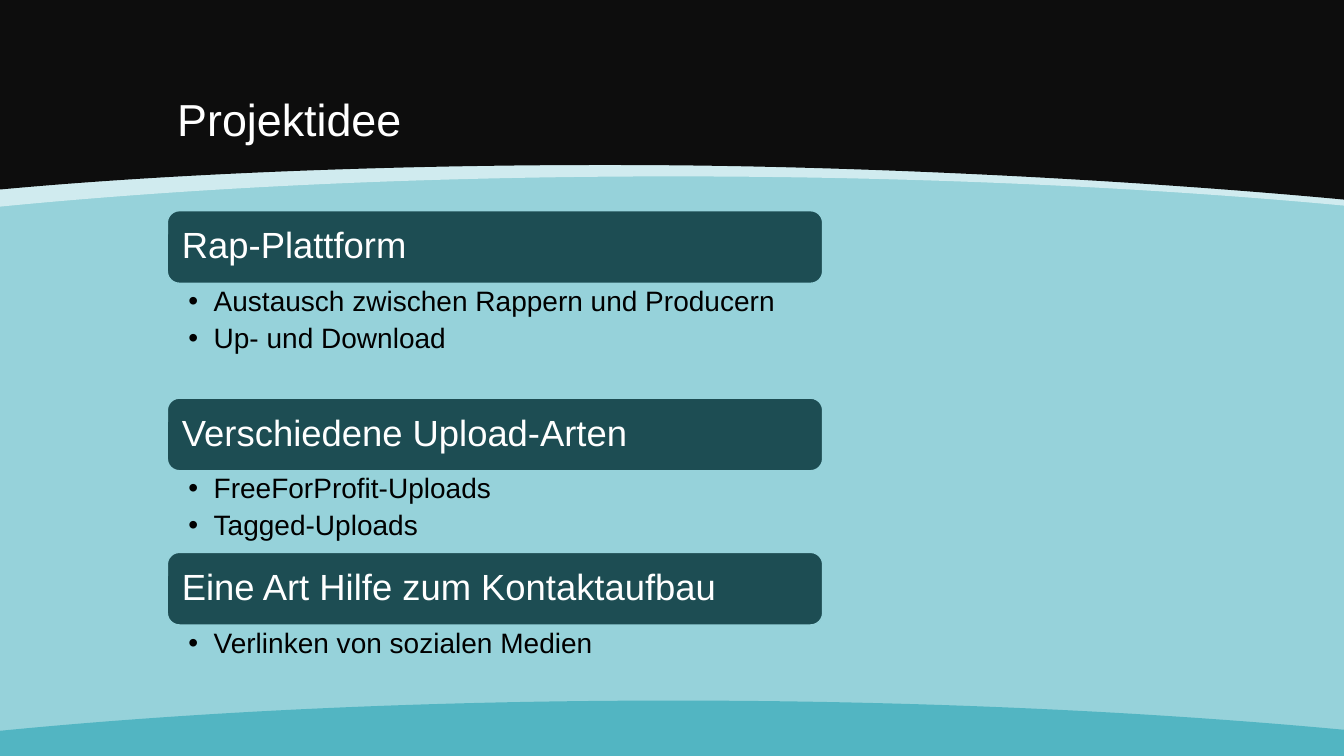
import lxml.etree
import pptx
import pptx.dml.color
import pptx.enum.shapes
import pptx.enum.text
import pptx.oxml.ns
import pptx.util
from dataclasses import dataclass
from pptx.util import Inches


@dataclass(frozen=True)
class Theme:
    font: str = "Arial"
    background: str = "96D2DA"
    band: str = "0D0D0D"
    band_edge: str = "EAF6F8"
    footer: str = "52B5C2"
    heading_fill: str = "1D4D53"
    light_text: str = "FFFFFF"
    dark_text: str = "000000"
    title_size: int = 32
    heading_size: int = 26
    bullet_size: int = 20


THEME = Theme()
WIDTH, HEIGHT = 13.33, 7.5
CONTENT_LEFT, CONTENT_WIDTH = 1.66, 6.5
HEADING_HEIGHT = 0.72

# Outlines: a pair is a line to a point, six numbers are a Bézier curve
BAND_EDGE = [(0, 0), (WIDTH, 0), (WIDTH, 2.04),
             (11.4, 1.86, 9.12, 1.75, 6.68, 1.75),
             (4.23, 1.75, 1.94, 1.86, 0, 2.05)]
BAND = [(0, 0), (WIDTH, 0), (WIDTH, 1.98),
        (11.4, 1.8, 8.89, 1.66, 6.68, 1.64),
        (4.45, 1.62, 1.94, 1.7, 0, 1.88)]
FOOTER = [(6.68, 6.95), (9.12, 6.95, 11.4, 7.06, WIDTH, 7.24),
          (WIDTH, HEIGHT), (0, HEIGHT), (0, 7.25),
          (1.94, 7.06, 4.23, 6.95, 6.68, 6.95)]

# Top of the heading, height of the bullet box, heading, bullets
SECTIONS = [
    (2.09, 1.15, "Rap-Plattform",
     ["Austausch zwischen Rappern und Producern", "Up- und Download"]),
    (3.95, 0.81, "Verschiedene Upload-Arten",
     ["FreeForProfit-Uploads", "Tagged-Uploads"]),
    (5.48, 0.47, "Eine Art Hilfe zum Kontaktaufbau",
     ["Verlinken von sozialen Medien"]),
]


def rgb(color):
    return pptx.dml.color.RGBColor.from_string(color)


def paint(fill, color):
    fill.solid()
    fill.fore_color.rgb = rgb(color)


def bend_line(line, controls, shape):
    """Turn one straight segment of a freeform into a Bézier curve."""
    line.tag = pptx.oxml.ns.qn("a:cubicBezTo")
    for index in (0, 2):
        point = lxml.etree.Element(pptx.oxml.ns.qn("a:pt"))
        point.set("x", str(Inches(controls[index]) - shape.left))
        point.set("y", str(Inches(controls[index + 1]) - shape.top))
        line.insert(index // 2, point)


def add_wave(slide, outline, color, opacity=100):
    points = [(Inches(segment[-2]), Inches(segment[-1])) for segment in outline]
    builder = slide.shapes.build_freeform(*points[0])
    builder.add_line_segments(points[1:], close=True)
    shape = builder.convert_to_shape()
    lines = list(shape._element.iter(pptx.oxml.ns.qn("a:lnTo")))
    for line, segment in zip(lines, outline[1:]):
        if len(segment) == 6:
            bend_line(line, segment[:4], shape)
    shape.shadow.inherit = False
    shape.line.fill.background()
    paint(shape.fill, color)
    if opacity < 100:
        color_element = shape._element.spPr.find(".//" + pptx.oxml.ns.qn("a:srgbClr"))
        lxml.etree.SubElement(color_element, pptx.oxml.ns.qn("a:alpha"), val=str(opacity * 1000))


def set_frame(frame, anchor, insets):
    frame.word_wrap = True
    frame.vertical_anchor = anchor
    frame.margin_left, frame.margin_top, frame.margin_right, frame.margin_bottom = map(Inches, insets)


def style_paragraph(paragraph, text, size, color):
    paragraph.text = text
    paragraph.alignment = pptx.enum.text.PP_ALIGN.LEFT
    paragraph.line_spacing = 0.9
    paragraph.font.name = THEME.font
    paragraph.font.size = pptx.util.Pt(size)
    paragraph.font.color.rgb = rgb(color)


def add_bullet_mark(paragraph):
    properties = paragraph._p.get_or_add_pPr()
    properties.set("marL", str(Inches(0.25)))
    properties.set("indent", str(Inches(-0.25)))
    run_defaults = properties.find(pptx.oxml.ns.qn("a:defRPr"))
    for tag, name, value in (("a:buFont", "typeface", THEME.font), ("a:buChar", "char", "•")):
        mark = lxml.etree.Element(pptx.oxml.ns.qn(tag))
        mark.set(name, value)
        run_defaults.addprevious(mark)


def add_title(slide, text):
    box = slide.shapes.add_textbox(Inches(CONTENT_LEFT), Inches(0.3), Inches(10), Inches(1.2))
    set_frame(box.text_frame, pptx.enum.text.MSO_ANCHOR.BOTTOM, (0.1, 0.05, 0.1, 0.05))
    style_paragraph(box.text_frame.paragraphs[0], text, THEME.title_size, THEME.light_text)


def add_heading(slide, top, text):
    shape = slide.shapes.add_shape(
        pptx.enum.shapes.MSO_SHAPE.ROUNDED_RECTANGLE, Inches(CONTENT_LEFT), Inches(top),
        Inches(CONTENT_WIDTH), Inches(HEADING_HEIGHT))
    shape.shadow.inherit = False
    paint(shape.fill, THEME.heading_fill)
    paint(shape.line.fill, THEME.background)
    shape.line.width = pptx.util.Pt(1)
    set_frame(shape.text_frame, pptx.enum.text.MSO_ANCHOR.MIDDLE, (0.11,) * 4)
    style_paragraph(shape.text_frame.paragraphs[0], text, THEME.heading_size, THEME.light_text)


def add_bullets(slide, top, height, bullets):
    box = slide.shapes.add_textbox(
        Inches(CONTENT_LEFT), Inches(top), Inches(CONTENT_WIDTH), Inches(height))
    frame = box.text_frame
    set_frame(frame, pptx.enum.text.MSO_ANCHOR.TOP, (0.21, 0.04, 0.2, 0.04))
    for index, text in enumerate(bullets):
        paragraph = frame.add_paragraph() if index else frame.paragraphs[0]
        style_paragraph(paragraph, text, THEME.bullet_size, THEME.dark_text)
        paragraph.level = 1
        paragraph.space_after = pptx.util.Pt(4.6)
        add_bullet_mark(paragraph)


def main():
    presentation = pptx.Presentation()
    presentation.slide_width = Inches(WIDTH)
    presentation.slide_height = Inches(HEIGHT)
    slide = presentation.slides.add_slide(presentation.slide_layouts[6])

    # Background with curved bands
    paint(slide.background.fill, THEME.background)
    add_wave(slide, BAND_EDGE, THEME.band_edge, opacity=70)
    add_wave(slide, BAND, THEME.band)
    add_wave(slide, FOOTER, THEME.footer)

    # Title and sections
    add_title(slide, "Projektidee")
    for top, bullets_height, heading, bullets in SECTIONS:
        add_heading(slide, top, heading)
        add_bullets(slide, top + HEADING_HEIGHT, bullets_height, bullets)

    presentation.save("out.pptx")


if __name__ == "__main__":
    main()
